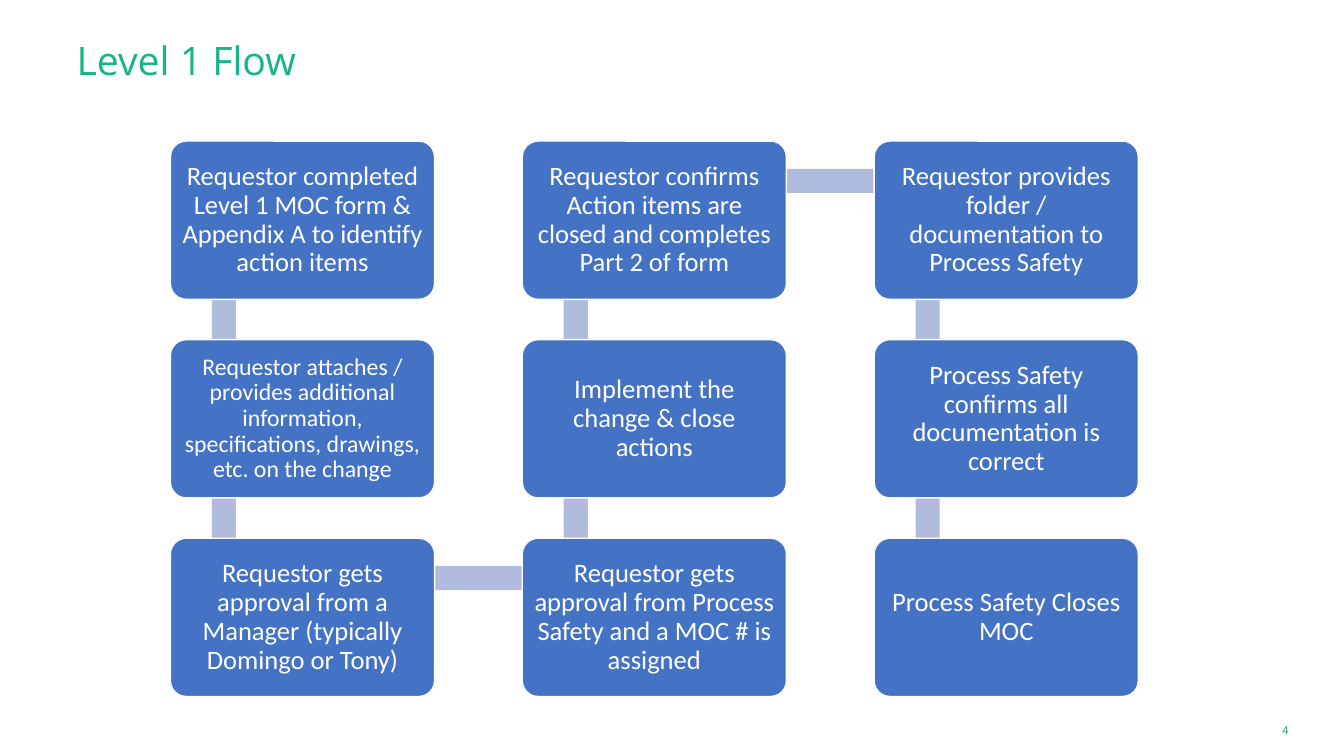
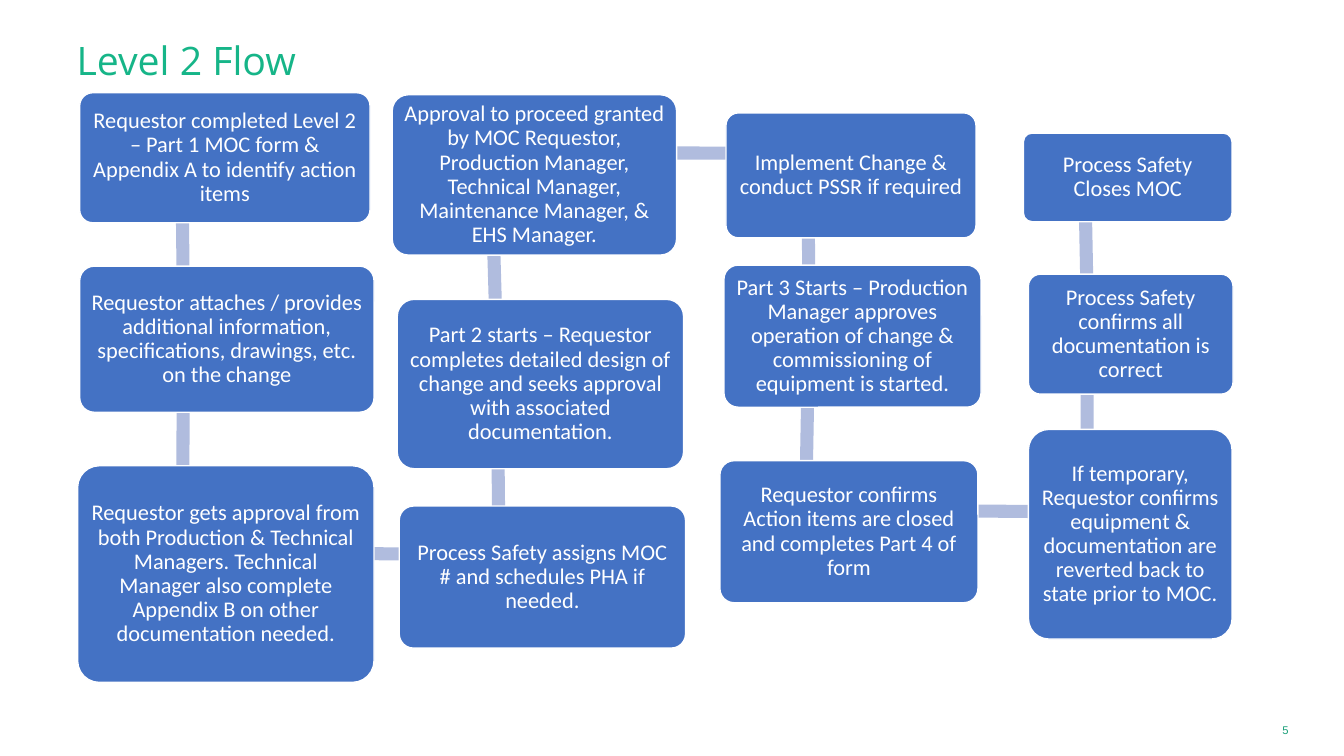
import math

import pptx
import pptx.dml.color
import pptx.enum.shapes
import pptx.enum.text
import pptx.util

COLOURS = {"title": "16B588", "number": "189F78", "step": "4472C4",
           "link": "B0BCDE", "white": "FFFFFF"}
EMU_PER_PX = 9144
SHAPES = pptx.enum.shapes.MSO_SHAPE
ALIGN = pptx.enum.text.PP_ALIGN
ANCHOR = pptx.enum.text.MSO_ANCHOR

LEVEL_1_STEPS = [
    ("Requestor completed Level 1 MOC form & Appendix A to identify action items", 19),
    ("Requestor attaches / provides additional information, specifications, "
     "drawings, etc. on the change", 17),
    ("Requestor gets approval from a Manager (typically Domingo or Tony)", 19),
    ("Requestor gets approval from Process Safety and a MOC # is assigned", 19),
    ("Implement the change & close actions", 19),
    ("Requestor confirms Action items are closed and completes Part 2 of form", 19),
    ("Requestor provides folder / documentation to Process Safety", 19),
    ("Process Safety confirms all documentation is correct", 19),
    ("Process Safety Closes MOC", 19),
]

LEVEL_2_STEPS = [
    ("Requestor completed Level 2 – Part 1 MOC form & Appendix A to identify "
     "action items", (79, 92, 288, 129)),
    ("Requestor attaches / provides additional information, specifications, "
     "drawings, etc. on the change", (79, 264, 292, 145)),
    ("Requestor gets approval from both Production & Technical Managers. "
     "Technical Manager also complete Appendix B on other documentation needed.",
     (77, 462, 294, 215)),
    ("Process Safety assigns MOC # and schedules PHA if needed.",
     (396, 502, 284, 141)),
    ("Part 2 starts – Requestor completes detailed design of change and seeks "
     "approval with associated documentation.", (394, 297, 284, 168)),
    ("Approval to proceed granted by MOC Requestor, Production Manager, Technical "
     "Manager, Maintenance Manager, & EHS Manager.", (389, 94, 282, 159)),
    ("Implement Change & conduct PSSR if required", (720, 112, 248, 124)),
    ("Part 3 Starts – Production Manager approves operation of change & "
     "commissioning of equipment is started.", (718, 263, 255, 141)),
    ("Requestor confirms Action items are closed and completes Part 4 of form",
     (714, 457, 256, 141)),
    ("If temporary, Requestor confirms equipment & documentation are reverted "
     "back to state prior to MOC.", (1020, 426, 202, 208)),
    ("Process Safety confirms all documentation is correct", (1020, 272, 203, 119)),
    ("Process Safety Closes MOC", (1015, 132, 207, 88)),
]


def px(*lengths):
    """Turn px lengths into EMU."""
    return [round(length * EMU_PER_PX) for length in lengths]


def colour(key):
    """Look up a named colour."""
    return pptx.dml.color.RGBColor.from_string(COLOURS[key])


def snake_grid(index, rows=3):
    """Place a step in columns that run down and up in turn."""
    column, row = divmod(index, rows)
    if column == 1:
        row = rows - 1 - row
    return 169 + 349 * column, 140 + 197 * row, 262, 157


class FlowDeck:
    """Hold the style and the current slide."""

    def __init__(self):
        """Open a wide presentation."""
        self.prs = pptx.Presentation()
        self.prs.slide_width, self.prs.slide_height = px(1333, 750)
        self.slide = None

    def set_text(self, frame, text, size, font, key, align, anchor, inset):
        """Fill a text frame with one styled paragraph."""
        frame.text = text
        frame.word_wrap = True
        frame.auto_size = pptx.enum.text.MSO_AUTO_SIZE.NONE
        frame.vertical_anchor = anchor
        frame.margin_left, frame.margin_top, frame.margin_right, frame.margin_bottom = px(*inset)
        paragraph = frame.paragraphs[0]
        paragraph.alignment = align
        paragraph.line_spacing = 0.9
        style = paragraph.runs[0].font
        style.size = pptx.util.Pt(size)
        style.name = font
        style.color.rgb = colour(key)

    def new_slide(self, heading, number):
        """Start a slide with its title and page number."""
        self.slide = self.prs.slides.add_slide(self.prs.slide_layouts[5])
        title = self.slide.shapes.title
        title.left, title.top, title.width, title.height = px(66, 36, 1044, 79)
        self.set_text(title.text_frame, heading, 28, "Open Sans", "title",
                      ALIGN.LEFT, ANCHOR.TOP, (10, 5, 10, 5))
        page = self.slide.shapes.add_textbox(*px(1272, 710, 40, 31))
        self.set_text(page.text_frame, str(number), 8, "Arial", "number",
                      ALIGN.LEFT, ANCHOR.MIDDLE, (0, 0, 0, 0))

    def block(self, kind, bounds, key):
        """Add a flat filled shape without outline."""
        shape = self.slide.shapes.add_shape(kind, *px(*bounds))
        shape.shadow.inherit = False
        shape.fill.solid()
        shape.fill.fore_color.rgb = colour(key)
        shape.line.fill.background()
        return shape

    def step(self, text, bounds, size):
        """Add one rounded step of the flow."""
        box = self.block(SHAPES.ROUNDED_RECTANGLE, bounds, "step")
        box.adjustments[0] = 0.1
        box.line.color.rgb = colour("white")
        box.line.width = pptx.util.Pt(1)
        self.set_text(box.text_frame, text, size, "Calibri", "white",
                      ALIGN.CENTER, ANCHOR.MIDDLE, (7, 7, 7, 7))

    def link(self, start, end, thickness):
        """Add a bar that runs from one point to another."""
        dx, dy = end[0] - start[0], end[1] - start[1]
        length = math.hypot(dx, dy)
        left = (start[0] + end[0] - length) / 2
        top = (start[1] + end[1] - thickness) / 2
        bar = self.block(SHAPES.RECTANGLE, (left, top, length, thickness), "link")
        bar.rotation = math.degrees(math.atan2(dy, dx))

    def flow(self, steps, offset, thickness):
        """Draw the steps, each over the bar that leads to the next."""
        joints = [(left + width / 2 - offset[0], top + height / 2 - offset[1])
                  for _, (left, top, width, height), _ in steps]
        for index, (text, bounds, size) in enumerate(steps):
            if index + 1 < len(steps):
                self.link(joints[index], joints[index + 1], thickness)
            self.step(text, bounds, size)


def main():
    """Build both flow slides."""
    deck = FlowDeck()
    deck.new_slide("Level 1 Flow", 4)
    deck.flow([(text, snake_grid(index), size)
               for index, (text, size) in enumerate(LEVEL_1_STEPS)], (78, 39), 24)
    deck.new_slide("Level 2 Flow", 5)
    deck.flow([(text, bounds, 16) for text, bounds in LEVEL_2_STEPS], (43, 22), 13)
    deck.prs.save("out.pptx")


if __name__ == "__main__":
    main()
